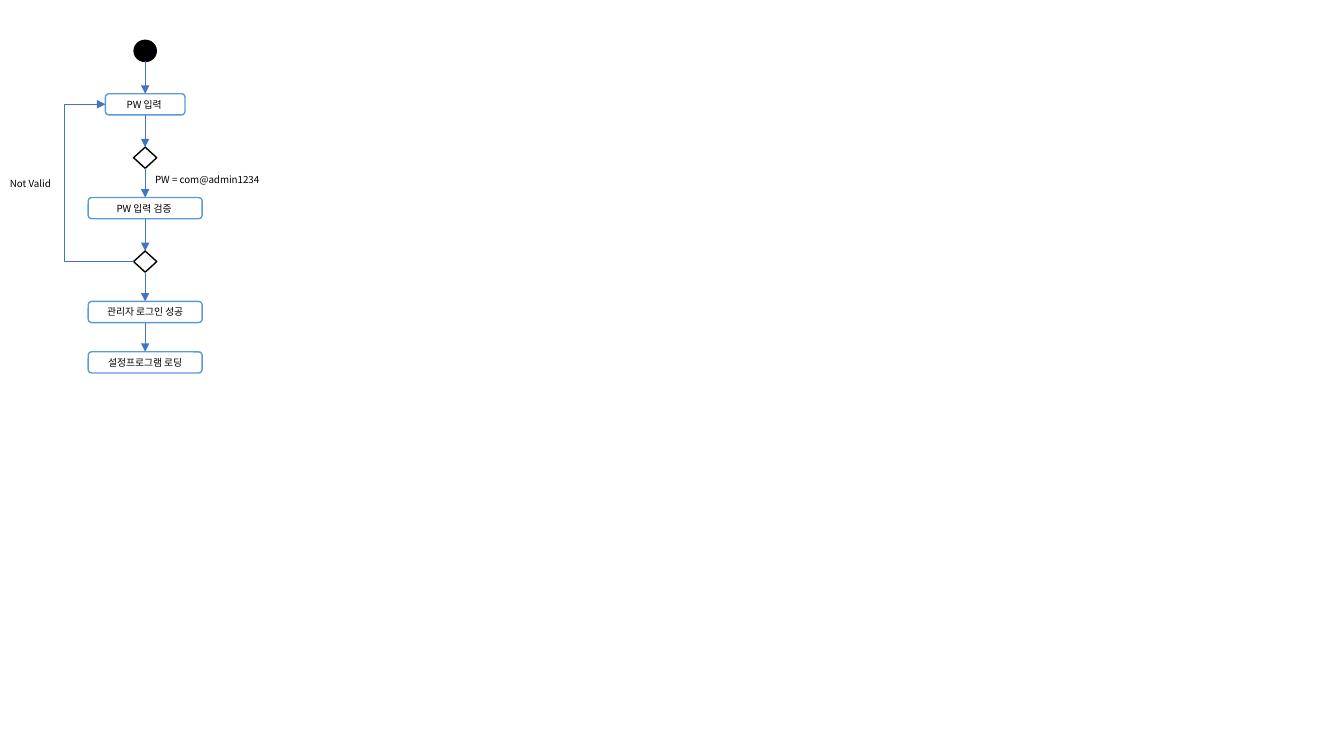
from lxml import etree
from pptx import Presentation, util as u
from pptx.dml.color import RGBColor
from pptx.enum import shapes, text
from pptx.oxml.ns import qn

THEME = {
    "font": "Noto Sans CJK KR", "size": 7, "ink": "000000", "paper": "FFFFFF",
    "step": "5B9BD5", "flow": "4472C4",
    "outline": 1, "flow_width": 0.5, "return_width": 0.75,
}
KIND = shapes.MSO_SHAPE
AXIS = 1.44        # centre of the flow column, inches
ROW = 0.21         # height of every node
LONG, SHORT = 0.32, 0.29  # gaps before and after a check
RETURN_LANE = 0.64


def write(frame, words, **layout):
    """Put one styled line of words into a text frame."""
    for attribute, value in layout.items():
        setattr(frame, attribute, value)
    run = frame.paragraphs[0].add_run()
    run.text = words
    for attribute, value in {"name": THEME["font"], "size": u.Pt(THEME["size"])}.items():
        setattr(run.font, attribute, value)
    run.font.color.rgb = RGBColor.from_string(THEME["ink"])
    etree.SubElement(run.font._element, qn("a:ea"), typeface=THEME["font"])


def arrow(route, start, end, width):
    """Draw a flow arrow without shadow and return it."""
    link = slide.shapes.add_connector(route, *(u.Inches(v) for v in (*start, *end)))
    link.line.color.rgb = RGBColor.from_string(THEME["flow"])
    link.line.width = u.Pt(width)
    etree.SubElement(link.line._get_or_add_ln(), qn("a:tailEnd"), type="triangle")
    etree.SubElement(link._element.spPr, qn("a:effectLst"))
    return link


deck = Presentation()
deck.slide_width, deck.slide_height = u.Inches(13.33), u.Inches(7.5)
slide = deck.slides.add_slide(deck.slide_layouts[6])

# Kind, width, fill, outline, words, gap to the next node
flow = [
    (KIND.OVAL, 0.22, "ink", "ink", "", LONG),
    (KIND.ROUNDED_RECTANGLE, 0.79, "paper", "step", "PW 입력 ", LONG),
    (KIND.DIAMOND, 0.23, "paper", "ink", "", SHORT),
    (KIND.ROUNDED_RECTANGLE, 1.13, "paper", "step", "PW 입력 검증 ", LONG),
    (KIND.DIAMOND, 0.23, "paper", "ink", "", SHORT),
    (KIND.ROUNDED_RECTANGLE, 1.13, "paper", "step", "관리자 로그인 성공", SHORT),
    (KIND.ROUNDED_RECTANGLE, 1.13, "paper", "step", "설정프로그램 로딩", 0),
]
top = 0.4
left_ports = []
for kind, width, fill, outline, words, gap in flow:
    left = AXIS - width / 2
    node = slide.shapes.add_shape(
        kind, *(u.Inches(v) for v in (left, top, width, ROW)))
    node.shadow.inherit = False
    node.fill.solid()
    node.fill.fore_color.rgb = RGBColor.from_string(THEME[fill])
    node.line.color.rgb = RGBColor.from_string(THEME[outline])
    node.line.width = u.Pt(THEME["outline"])
    if words:
        write(node.text_frame, words, word_wrap=True, margin_top=0, margin_bottom=0,
              vertical_anchor=text.MSO_ANCHOR.MIDDLE)
        node.text_frame.paragraphs[0].alignment = text.PP_ALIGN.CENTER
    left_ports.append((left, top + ROW / 2))
    bottom = top + ROW
    top = bottom + gap
    if gap:
        arrow(shapes.MSO_CONNECTOR.STRAIGHT, (AXIS, bottom), (AXIS, top),
              THEME["flow_width"])

# A failed check returns to the password entry through the left lane
entry, check = left_ports[1], left_ports[4]
retry = arrow(shapes.MSO_CONNECTOR.ELBOW, check, entry, THEME["return_width"])
bend = round(100000 * (check[0] - RETURN_LANE) / (check[0] - entry[0]))
guides = retry._element.spPr.find(qn("a:prstGeom")).get_or_add_avLst()
etree.SubElement(guides, qn("a:gd"), name="adj1", fmla=f"val {bend}")

for words, left, top, width in (
        ("Not Valid", 0, 1.71, 0.63), ("PW = com@admin1234", AXIS, 1.67, 1.27)):
    label = slide.shapes.add_textbox(*(u.Inches(v) for v in (left, top, width, 0.22)))
    write(label.text_frame, words, word_wrap=False,
          auto_size=text.MSO_AUTO_SIZE.SHAPE_TO_FIT_TEXT)

deck.save("out.pptx")
